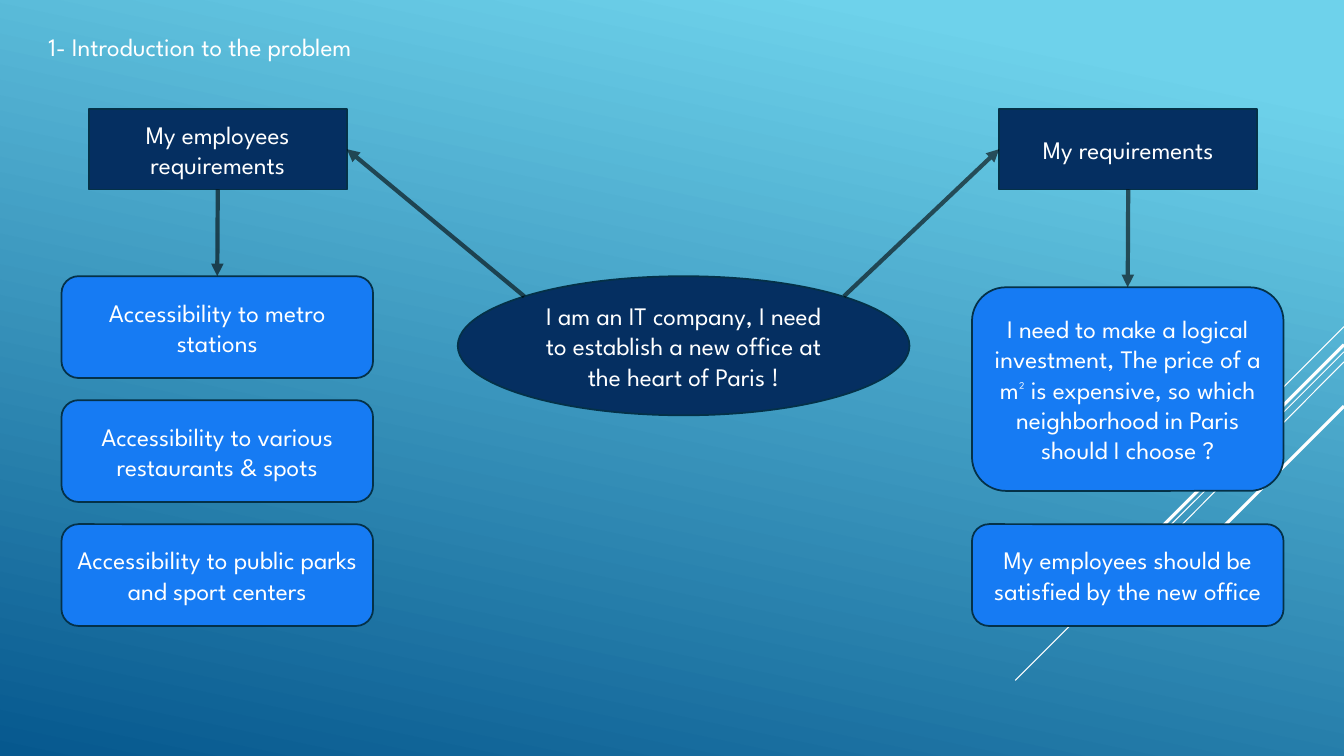
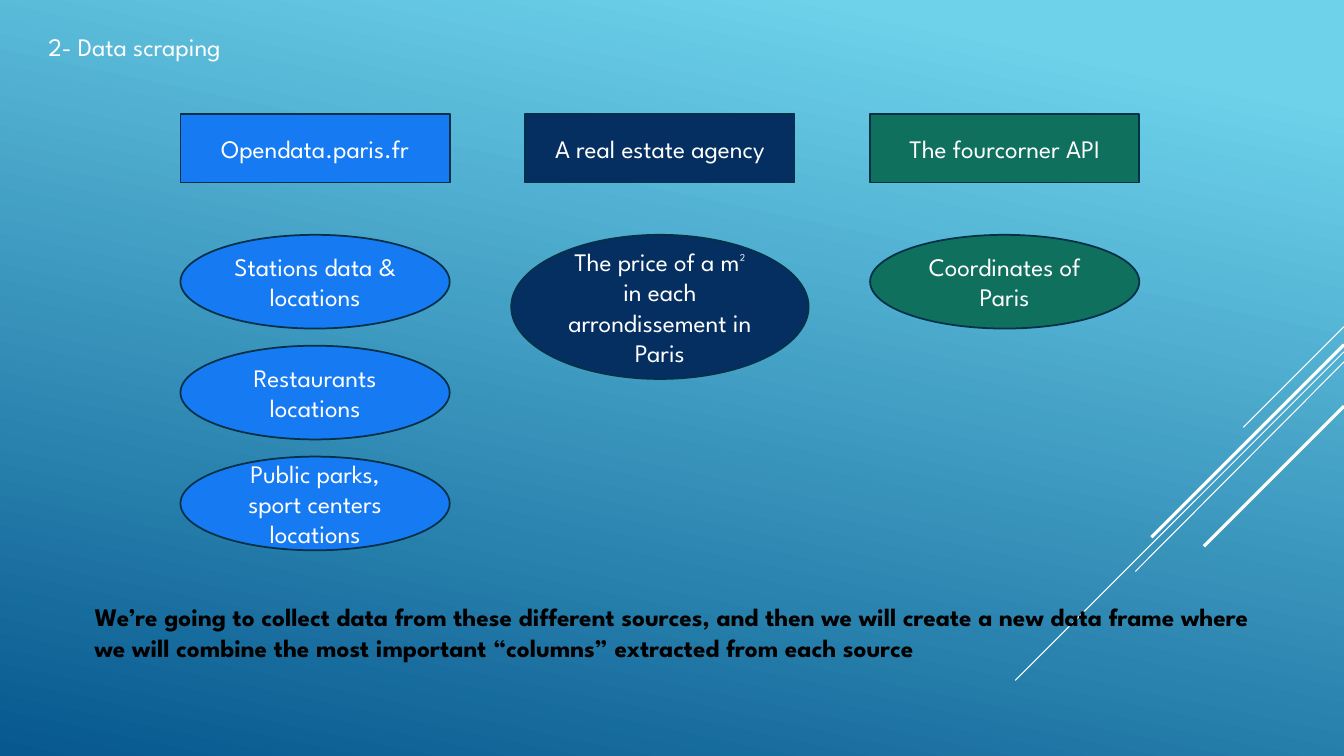
from lxml.etree import SubElement
from pptx import Presentation
from pptx.dml.color import RGBColor
from pptx.enum.shapes import MSO_CONNECTOR, MSO_SHAPE as SHAPE
from pptx.enum.text import MSO_ANCHOR as ANCHOR, MSO_AUTO_SIZE as AUTO, PP_ALIGN as ALIGN
from pptx.oxml.ns import qn
from pptx.util import Inches, Pt

COLORS = {
    "sky": "6ED2EB", "deep": "06588E", "white": "FFFFFF", "black": "000000",
    "navy": "052F61", "blue": "167BF3", "green": "0F705D", "outline": "043148",
}
FONT = "League Spartan"
TITLE_ONLY = 5
TOP, LEFT, BOTTOM, RIGHT = range(4)  # connection sites of a rectangle

# Diagonal rays from the right edge: start y, end x, end y, width in points
RAYS = [
    (3.24, 12.33, 4.24, 0.75), (3.49, 10.07, 6.75, 0.75),
    (3.59, 11.26, 5.67, 0.75), (3.42, 11.42, 5.33, 2.25),
    (4.03, 11.94, 5.42, 2.25),
]


def rgb(name):
    return RGBColor.from_string(COLORS[name])


def write(tf, text, color="white", align=ALIGN.CENTER, bold=False):
    tf.word_wrap = True
    p = tf.paragraphs[0]
    p.alignment = align
    r = p.add_run()
    r.text = text
    r.font.name, r.font.size, r.font.bold = FONT, Pt(18), bold
    r.font.color.rgb = rgb(color)


def add_box(slide, kind, x, y, w, h, fill, text):
    sp = slide.shapes.add_shape(kind, Inches(x), Inches(y), Inches(w), Inches(h))
    sp.shadow.inherit = False
    sp.fill.solid()
    sp.fill.fore_color.rgb = rgb(fill)
    sp.line.color.rgb = rgb("outline")
    sp.line.width = Pt(1.25)
    sp.text_frame.vertical_anchor = ANCHOR.MIDDLE
    write(sp.text_frame, text)
    return sp


def add_line(shapes, x1, y1, x2, y2, color, width):
    line = shapes.add_connector(
        MSO_CONNECTOR.STRAIGHT, Inches(x1), Inches(y1), Inches(x2), Inches(y2))
    line.line.color.rgb = rgb(color)
    line.line.width = Pt(width)
    SubElement(line.element.spPr, qn("a:effectLst"))
    return line


def add_arrow(slide, target, site, start=(0, 0), source=None):
    """Arrow to a side of target, from the bottom of source or a free start."""
    arrow = add_line(slide.shapes, *start, *start, "black", 3)
    if source is not None:
        arrow.begin_connect(source, BOTTOM)
    arrow.end_connect(target, site)
    ln = arrow.element.spPr.find(qn("a:ln"))
    SubElement(ln.find(".//" + qn("a:srgbClr")), qn("a:alpha"), val="60000")
    SubElement(ln, qn("a:tailEnd"), type="triangle")


def set_up_layout(prs):
    """Put the gradient on the master and the title's place on the layout."""
    fill = prs.slide_master.background.fill
    fill.gradient()
    fill.gradient_angle = 360 - 102
    for stop, (pos, color) in zip(fill.gradient_stops, [(0.1, "sky"), (1, "deep")]):
        stop.position = pos
        stop.color.rgb = rgb(color)
    layout = prs.slide_layouts[TITLE_ONLY]
    title = next(ph for ph in layout.placeholders if ph.placeholder_format.idx == 0)
    title.left, title.top = Inches(0.38), Inches(0.26)
    title.width, title.height = Inches(8.16), Inches(0.4)
    title.text_frame.vertical_anchor = ANCHOR.TOP
    title.text_frame.auto_size = AUTO.NONE
    return layout


def move_rays_to_master(prs, slide):
    """Draw the rays as a group on a slide, then hand it to the master."""
    group = slide.shapes.add_group_shape()
    for y1, x2, y2, width in RAYS:
        add_line(group.shapes, 13.33, y1, x2, y2, "white", width)
    for number, props in enumerate(group.element.iter(qn("p:cNvPr")), 100):
        props.set("id", str(number))
    prs.slide_master.shapes.element.append(group.element)


def add_slide(prs, layout, title):
    slide = prs.slides.add_slide(layout)
    write(slide.shapes.title.text_frame, title, align=ALIGN.LEFT)
    return slide


def build_introduction(slide):
    def header(x, text):
        return add_box(slide, SHAPE.RECTANGLE, x, 1.08, 2.56, 0.8, "navy", text)

    def need(x, y, text, h=1.01):
        return add_box(slide, SHAPE.ROUNDED_RECTANGLE, x, y, 3.09, h, "blue", text)

    add_box(slide, SHAPE.OVAL, 4.54, 2.74, 4.48, 1.38, "navy",
            "I am an IT company, I need to establish a new office at the heart of Paris !")
    employees = header(0.88, "My employees requirements")
    company = header(9.91, "My requirements")
    employee_needs = [
        need(0.61, 2.74 + 1.23 * i, text) for i, text in enumerate([
            "Accessibility to metro stations",
            "Accessibility to various restaurants & spots",
            "Accessibility to public parks and sport centers",
        ])]
    investment = need(
        9.64, 2.85, "I need to make a logical investment, The price of a m² is "
        "expensive, so which neighborhood in Paris should I choose ?", h=2.02)
    need(9.64, 5.2, "My employees should be satisfied by the new office")

    add_arrow(slide, company, LEFT, start=(8.37, 2.94))
    add_arrow(slide, employees, RIGHT, start=(5.2, 2.94))
    add_arrow(slide, investment, TOP, source=company)
    add_arrow(slide, employee_needs[0], TOP, source=employees)


def build_scraping(slide):
    # Source, colour, ellipse width and height, data taken from it
    sources = [
        ("Opendata.paris.fr", "blue", 2.67, 0.93,
         ["Stations data & locations", "Restaurants locations",
          "Public parks, sport centers locations"]),
        ("A real estate agency", "navy", 2.95, 1.43,
         ["The price of a m² in each arrondissement in Paris"]),
        ("The fourcorner API", "green", 2.67, 0.93, ["Coordinates of Paris"]),
    ]
    head_w = 2.67
    for col, (name, color, w, h, items) in enumerate(sources):
        x = 1.79 + 3.42 * col
        add_box(slide, SHAPE.RECTANGLE, x, 1.13, head_w, 0.68, color, name)
        for row, item in enumerate(items):
            add_box(slide, SHAPE.OVAL, x + (head_w - w) / 2, 2.33 + 1.1 * row,
                    w, h, color, item)

    summary = slide.shapes.add_textbox(
        Inches(0.84), Inches(5.92), Inches(12), Inches(0.71))
    write(summary.text_frame,
          "We’re going to collect data from these different sources, and then we will "
          "create a new data frame where we will combine the most important “columns” "
          "extracted from each source", "black", ALIGN.LEFT, bold=True)


def main():
    prs = Presentation()
    prs.slide_width, prs.slide_height = Inches(13.33), Inches(7.5)
    layout = set_up_layout(prs)
    introduction = add_slide(prs, layout, "1- Introduction to the problem")
    move_rays_to_master(prs, introduction)
    build_introduction(introduction)
    build_scraping(add_slide(prs, layout, "2- Data scraping"))
    prs.save("out.pptx")


if __name__ == "__main__":
    main()
